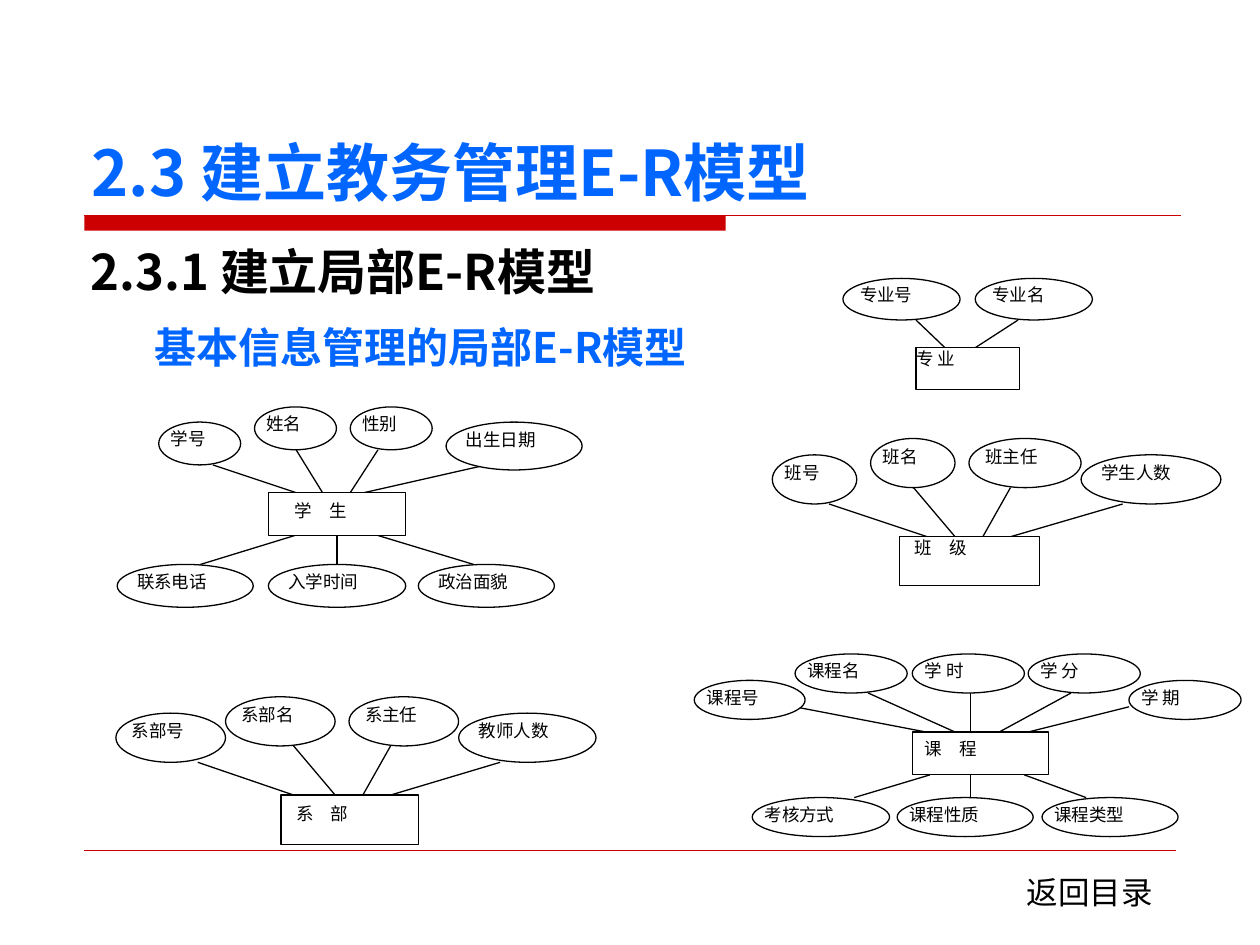
from lxml import etree
from pptx import Presentation
from pptx.dml.color import RGBColor
from pptx.enum.shapes import MSO_CONNECTOR, MSO_SHAPE
from pptx.enum.text import MSO_ANCHOR, PP_ALIGN
from pptx.oxml.ns import qn
from pptx.util import Inches, Pt

LINE, BOX, OVAL = MSO_CONNECTOR.STRAIGHT, MSO_SHAPE.RECTANGLE, MSO_SHAPE.OVAL
LEFT, TOP, LOW = PP_ALIGN.LEFT, MSO_ANCHOR.TOP, MSO_ANCHOR.BOTTOM
SANS, SERIF = "Noto Sans CJK SC", "Times New Roman"
BLACK, WHITE, BLUE, RED = "000000", "FFFFFF", "0066FF", "CC0000"
hue = RGBColor.from_string

deck = Presentation()
deck.slide_width, deck.slide_height = Inches(10), Inches(7.5)
slide = deck.slides.add_slide(deck.slide_layouts[6])
shapes = slide.shapes
UNIT = deck.slide_width // 1000  # grid of 1000 columns by 750 rows


def write(shape, text, size, font=SERIF, color=BLACK, bold=False, pad=(0, 0), anchor=TOP):
    """Put one left-aligned run in the first paragraph, or in a new one after it."""
    frame = shape.text_frame
    para = frame.paragraphs[0]
    if para.runs:
        para = frame.add_paragraph()
    frame.word_wrap = True
    frame.vertical_anchor = anchor
    frame.margin_left, frame.margin_top = (n * UNIT for n in pad)
    frame.margin_right = frame.margin_bottom = 0
    para.alignment = LEFT
    run = para.add_run()
    run.text = text
    run.font.name, run.font.size, run.font.bold = font, Pt(size), bold
    run.font.color.rgb = hue(color)
    etree.SubElement(run.font._element, qn("a:ea"), typeface=SANS)
    return para


def link(x1, y1, x2, y2, color=BLACK, width=0.75):
    """Draw a straight line between two grid points."""
    line = shapes.add_connector(LINE, *(int(n * UNIT) for n in (x1, y1, x2, y2)))
    line.line.color.rgb = hue(color)
    line.line.width = Pt(width)
    etree.SubElement(line._element.spPr, qn("a:effectLst"))
    return line


# Rules and headings
bar = shapes.add_shape(BOX, 67 * UNIT, 171 * UNIT, 509 * UNIT, 12 * UNIT)
bar.shadow.inherit = False
bar.fill.solid()
bar.fill.fore_color.rgb = hue(RED)
bar.line.fill.background()
link(67, 171, 937, 171, RED)
link(67, 675, 933, 675, RED, 0.25)

title = shapes.add_textbox(63 * UNIT, 33 * UNIT, 875 * UNIT, 133 * UNIT)
write(title, "2.3 建立教务管理E-R模型", 36, SANS, BLUE, True, (10, 5), LOW)
body = shapes.add_textbox(62 * UNIT, 192 * UNIT, 875 * UNIT, 467 * UNIT)
head = write(body, "2.3.1 建立局部E-R模型", 28, SANS, BLACK, True, (10, 5))
sub = write(body, "基本信息管理的局部E-R模型", 24, SANS, BLUE, True, (10, 5))
head.line_spacing = sub.line_spacing = 0.9
sub.space_before = Pt(15)
sub._p.get_or_add_pPr().set("marL", str(51 * UNIT))

# Entity: name, place, text inset, whether labels lie in boxes of their own
# Attribute: name, left, top, width, height, then the link's end (x, y) and
# the x where it leaves the entity
MODELS = [
    ("学　生", (213, 391, 109, 34), (21, 6), False, [
        ("学号", 126, 335, 65, 34, 169, 369, 235),
        ("姓名", 202, 323, 65, 34, 235, 357, 256),
        ("性别", 278, 323, 65, 34, 300, 357, 278),
        ("出生日期", 354, 335, 108, 38, 386, 369, 289),
        ("联系电话", 93, 448, 108, 34, 159, 448, 234),
        ("入学时间", 213, 448, 109, 34, 267.5, 448, 267.5),
        ("政治面貌", 332, 448, 108, 34, 376, 448, 300)]),
    ("班　级", (714, 426, 111, 39), (12, 0), False, [
        ("班号", 613, 361, 67, 39, 658, 400, 736),
        ("班名", 691, 348, 67, 39, 725, 387, 758),
        ("班主任", 769, 348, 89, 39, 802, 387, 780),
        ("学生人数", 858, 361, 111, 39, 891, 400, 802)]),
    ("专 业", (727, 276, 82, 33), (0, 0), False, [
        ("专业号", 669, 221, 93, 33, 727, 254, 750),
        ("专业名", 774, 221, 93, 33, 808, 254, 774)]),
    ("系　部", (223, 631, 109, 39), (12, 6), False, [
        ("系部号", 92, 566, 87, 39, 157, 605, 233),
        ("系部名", 179, 553, 87, 39, 233, 592, 266),
        ("系主任", 277, 553, 87, 39, 310, 592, 288),
        ("教师人数", 364, 566, 109, 39, 397, 605, 310)]),
    ("课　程", (724, 581, 108, 34), (10, 5), True, [
        ("课程号", 551, 540, 88, 31, 631, 561, 735),
        ("课程名", 631, 519, 89, 31, 689, 550, 758),
        ("学 时", 724, 519, 89, 31, 770, 550, 770),
        ("学 分", 816, 519, 89, 31, 850, 550, 793),
        ("学 期", 896, 540, 89, 31, 896, 561, 816),
        ("考核方式", 597, 633, 109, 31, 678, 633, 738),
        ("课程性质", 712, 633, 108, 31, 770, 633, 770),
        ("课程类型", 827, 633, 108, 31, 862, 633, 813)]),
]

for name, place, pad, apart, parts in MODELS:
    left, top, wide, high = place
    lines = [link(x, top if y < top else top + high, endx, endy)
             for _, _, y, _, _, endx, endy, x in parts]
    nodes = [(BOX, name, place, pad, False)]
    nodes += [(OVAL, part[0], part[1:5], (0, 0), apart) for part in parts]
    for kind, text, spot, inset, split in nodes:
        x, y, w, h = (n * UNIT for n in spot)
        node = shapes.add_shape(kind, x, y, w, h)
        node.shadow.inherit = False
        node.fill.solid()
        node.fill.fore_color.rgb = hue(WHITE)
        node.line.color.rgb = hue(BLACK)
        node.line.width = Pt(0.75)
        if split:
            label = shapes.add_textbox(x, y, int(w * 1.17), h)
            write(label, text, 10, pad=(10, 5))
        else:
            write(node, text, 10, pad=inset)
        if kind == BOX:
            for line, part in zip(lines, parts):
                if part[7] == left + wide / 2:
                    line.begin_connect(node, 2 if part[2] > top else 0)

back = shapes.add_textbox(805 * UNIT, 688 * UNIT, 125 * UNIT, 40 * UNIT)
write(back, "返回目录", 18, "DejaVu Sans", pad=(10, 5))

deck.save("out.pptx")
